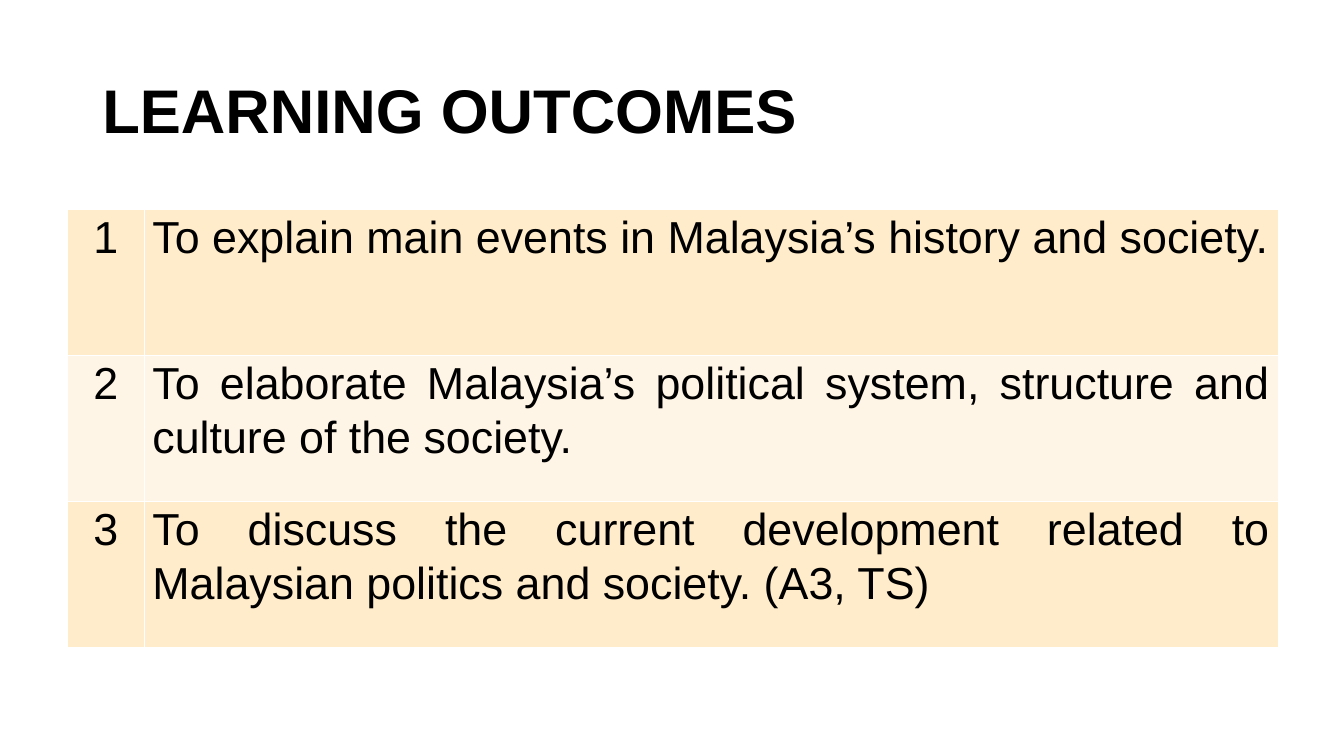
from lxml import etree
from pptx import Presentation
from pptx.dml.color import RGBColor
from pptx.enum import text
from pptx.oxml import ns
from pptx.util import Cm, Pt

FONT = "Arial"
INK = "000000"
BANDS = ["FFECCA", "FFF5E6"]
OUTCOMES = [
    "To explain main events in Malaysia’s history and society.",
    "To elaborate Malaysia’s political system, structure and culture of the society.",
    "To discuss the current development related to Malaysian politics and society. (A3, TS)",
]


def color(value):
    return RGBColor.from_string(value)


def write(paragraph, words, size, bold=False, **layout):
    """Add one run of text and apply paragraph settings."""
    for name, value in layout.items():
        setattr(paragraph, name, value)
    run = paragraph.add_run()
    run.text = words
    for name, value in {"name": FONT, "size": Pt(size), "bold": bold}.items():
        setattr(run.font, name, value)
    run.font.color.rgb = color(INK)


def add_borders(cell, value, width):
    properties = cell._tc.get_or_add_tcPr()
    for position, side in enumerate(["lnL", "lnR", "lnT", "lnB"]):
        line = etree.Element(ns.qn(f"a:{side}"), w=str(Pt(width)))
        fill = etree.SubElement(line, ns.qn("a:solidFill"))
        etree.SubElement(fill, ns.qn("a:srgbClr"), val=value)
        properties.insert(position, line)


def add_heading(slide, left, top, width, height):
    frame = slide.shapes.add_textbox(Cm(left), Cm(top), Cm(width), Cm(height)).text_frame
    frame.word_wrap = True
    frame.vertical_anchor = text.MSO_ANCHOR.MIDDLE
    write(frame.paragraphs[0], "LEARNING OUTCOMES", 44, bold=True, line_spacing=0.9)


def add_outcomes(slide, left, top, width, height, number_width=1.96):
    table = slide.shapes.add_table(
        len(OUTCOMES), 2, Cm(left), Cm(top), Cm(width), Cm(height)).table
    table.first_row = False
    table.columns[0].width = Cm(number_width)
    table.columns[1].width = Cm(width - number_width)
    alignments = [text.PP_ALIGN.CENTER, text.PP_ALIGN.JUSTIFY]
    margins = {"margin_left": Cm(0.19), "margin_right": Cm(0.19),
               "margin_top": 0, "margin_bottom": 0}
    for row, outcome in enumerate(OUTCOMES):
        for column, words in enumerate([str(row + 1), outcome]):
            cell = table.cell(row, column)
            for name, value in margins.items():
                setattr(cell, name, value)
            cell.fill.solid()
            cell.fill.fore_color.rgb = color(BANDS[row % 2])
            add_borders(cell, "FFFFFF", 1)
            write(cell.text_frame.paragraphs[0], words, 32,
                  alignment=alignments[column], line_spacing=1.07)


def main():
    deck = Presentation()
    deck.slide_width, deck.slide_height = Cm(33.87), Cm(19.05)
    slide = deck.slides.add_slide(deck.slide_layouts[6])
    add_heading(slide, 2.33, 1.01, 29.21, 3.68)
    add_outcomes(slide, 1.69, 5.27, 30.52, 11.05)
    deck.save("out.pptx")


if __name__ == "__main__":
    main()
